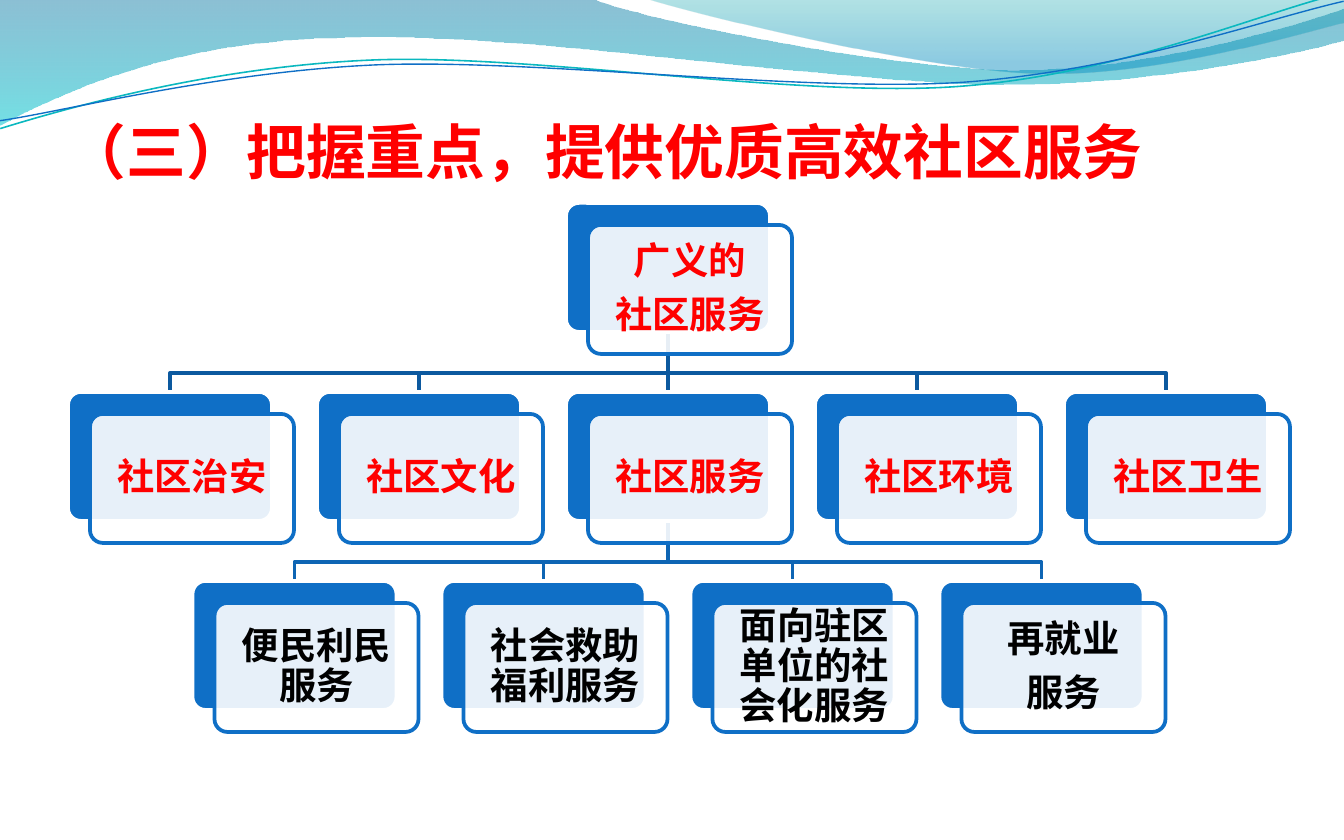
from lxml.etree import SubElement
from pptx import Presentation
from pptx.dml.color import RGBColor
from pptx.enum.shapes import MSO_SHAPE
from pptx.enum.text import MSO_ANCHOR, MSO_AUTO_SIZE, PP_ALIGN
from pptx.oxml.ns import qn
from pptx.util import Pt

ROUNDED = MSO_SHAPE.ROUNDED_RECTANGLE
MIDDLE, BOTTOM = MSO_ANCHOR.MIDDLE, MSO_ANCHOR.BOTTOM
CENTER, LEFT = PP_ALIGN.CENTER, PP_ALIGN.LEFT
NO_FIT = MSO_AUTO_SIZE.NONE

TITLE = "（三）把握重点，提供优质高效社区服务"
RED, BLACK, WHITE, BLUE = "FF0000", "000000", "FFFFFF", "0F6FC6"
CJK_FONT = "Noto Sans CJK SC"

# Each level: text colour, colour of the lines leading to it, cards as paragraphs
LEVELS = [
    (RED, None, [["广义的", "社区服务"]]),
    (RED, "0C599F", [["社区治安"], ["社区文化"], ["社区服务"], ["社区环境"], ["社区卫生"]]),
    (BLACK, "0E65B4", [["便民利民服务"], ["社会救助福利服务"],
                       ["面向驻区单位的社会化服务"], ["再就业", "服务"]]),
]

# Outlines in px: a pair is a straight step, six numbers are a Bézier curve.
# Gradient stops run from top to bottom: position, colour, opacity in percent.
WAVES = [
    ([(0, 0), (591, -1), (640, 19, 892, 70, 1019, 70), (1146, 70, 1288, 28, 1344, 9),
      (1345, 40), (1321, 48, 1169, 85, 1003, 85), (836, 85, 513, 31, 345, 38),
      (173, 40, 62, 93, -1, 126), (0, 0)],
     [(0, "0074A1", 45), (1, "00C6CF", 55)]),
    ([(644, -1), (684, 12, 917, 69, 1034, 73), (1150, 77, 1292, 36, 1344, 23),
      (1344, 0), (644, -1)],
     [(0, "00A1A9", 30), (0.8, "008BBF", 45)]),
]
# Outlines before the rotation, line colour, line width
RIPPLES = [
    ([(-2, 97), (64, 80, 212, 45, 373, 46), (532, 47, 794, 104, 956, 100),
      (1119, 96, 1264, 40, 1344, 25)], "0AB8BF", 0.85),
    ([(-2, 89), (62, 83, 220, 50, 380, 51), (542, 53, 801, 99, 963, 96),
      (1123, 92, 1267, 47, 1346, 33)], BLUE, 0.75),
]
RIPPLE_ROTATION = 357.3

SLIDE_WIDTH, SLIDE_HEIGHT = 1344, 840
CENTER_X, FIRST_TOP = 668, 203
COLUMN_STEP, ROW_STEP = 249, 189
CARD_WIDTH, CARD_HEIGHT = 204, 129
SHIFT_X, SHIFT_Y = 22, 22
BUS_GAP = 19
CARD_INSET = 15
STEM_MARGIN = 7


def px(value):
    return round(value * 914400 / 134.4)


def rgb(value):
    return RGBColor.from_string(value)


def set_opacity(shape, percents):
    """Give the fill colours of a shape, in order, their opacity."""
    for color, percent in zip(shape._element.spPr.iter(qn("a:srgbClr")), percents):
        SubElement(color, qn("a:alpha"), val=str(percent * 1000))


def set_line(shape, color, width):
    shape.line.color.rgb = rgb(color)
    shape.line.width = Pt(width)


def add_freeform(slide, outline, close=False):
    """Draw every point as a corner, then join each curve's three into a Bézier step."""
    points = [(px(x), px(y)) for step in outline for x, y in zip(step[::2], step[1::2])]
    builder = slide.shapes.build_freeform(*points[0])
    builder.add_line_segments(points[1:], close=close)
    shape = builder.convert_to_shape()
    shape.shadow.inherit = False
    if not close:
        shape.fill.background()
    corners = shape._element.iter(qn("a:lnTo"))
    corners = iter(list(corners))
    for step in outline[1:]:
        corner = next(corners)
        if len(step) == 6:
            corner.tag = qn("a:cubicBezTo")
            for follower in (next(corners), next(corners)):
                corner.append(follower[0])
                follower.getparent().remove(follower)
    return shape


def add_waves(slide):
    for outline, stops in WAVES:
        wave = add_freeform(slide, outline, close=True)
        wave.fill.gradient()
        wave.fill.gradient_angle = 270
        for stop, (position, color, _) in zip(wave.fill.gradient_stops, stops):
            stop.position = position
            stop.color.rgb = rgb(color)
        set_opacity(wave, [opacity for _, _, opacity in stops])
        wave.line.fill.background()
    for outline, color, width in RIPPLES:
        ripple = add_freeform(slide, outline)
        ripple.rotation = RIPPLE_ROTATION
        set_line(ripple, color, width)


def format_paragraph(paragraph, size, color, font_name, alignment):
    paragraph.alignment = alignment
    font = paragraph.font
    font.size, font.bold, font.name = Pt(size), True, font_name
    font.color.rgb = rgb(color)
    defaults = paragraph._p.pPr.find(qn("a:defRPr"))
    SubElement(defaults, qn("a:ea"), typeface=CJK_FONT)


def set_insets(frame, left, top, right, bottom):
    frame.margin_left, frame.margin_top = px(left), px(top)
    frame.margin_right, frame.margin_bottom = px(right), px(bottom)


def add_title(slide):
    title = slide.shapes.title
    title.left, title.top, title.width, title.height = px(67), px(38), px(1176), px(149)
    frame = title.text_frame
    frame.text = TITLE
    frame.auto_size, frame.vertical_anchor = NO_FIT, BOTTOM
    set_insets(frame, 0, 7, 0, 0)
    format_paragraph(frame.paragraphs[0], 32, RED, "Calibri", LEFT)


def column_centers(count):
    return [CENTER_X + (index - (count - 1) / 2) * COLUMN_STEP for index in range(count)]


def add_branch(slide, x, top, color):
    """Draw the line from the middle card of the row above down to x."""
    start, bus = top - ROW_STEP + CARD_HEIGHT, top - BUS_GAP
    if x == CENTER_X:
        # A slanted line sets the width of the frame; both ends then move to its middle.
        branch = add_freeform(slide, [(x - STEM_MARGIN, start), (x + STEM_MARGIN, top)])
        for point in branch._element.iter(qn("a:pt")):
            point.set("x", str(px(STEM_MARGIN)))
    else:
        branch = add_freeform(slide, [(CENTER_X, start), (CENTER_X, bus), (x, bus), (x, top)])
    set_line(branch, color, 2)


def add_panel(slide, left, top, fill, line):
    panel = slide.shapes.add_shape(ROUNDED, px(left), px(top), px(CARD_WIDTH), px(CARD_HEIGHT))
    panel.adjustments[0] = 0.1
    panel.shadow.inherit = False
    panel.fill.solid()
    panel.fill.fore_color.rgb = rgb(fill)
    set_line(panel, line, 2)
    return panel


def add_card(slide, x, top, lines, color):
    left = x - CARD_WIDTH / 2
    add_panel(slide, left, top, BLUE, WHITE)
    front = add_panel(slide, left + SHIFT_X, top + SHIFT_Y, WHITE, BLUE)
    set_opacity(front, [90])
    frame = front.text_frame
    frame.text = "\n".join(lines)
    frame.word_wrap, frame.vertical_anchor = True, MIDDLE
    set_insets(frame, *[CARD_INSET] * 4)
    for paragraph in frame.paragraphs:
        paragraph.line_spacing, paragraph.space_after = 0.9, Pt(7)
        format_paragraph(paragraph, 20, color, CJK_FONT, CENTER)


def main():
    presentation = Presentation()
    presentation.slide_width, presentation.slide_height = px(SLIDE_WIDTH), px(SLIDE_HEIGHT)
    slide = presentation.slides.add_slide(presentation.slide_layouts[5])
    add_waves(slide)
    add_title(slide)
    rows = [(FIRST_TOP + index * ROW_STEP, *level) for index, level in enumerate(LEVELS)]
    for top, _, line_color, cards in rows[1:]:
        for x in column_centers(len(cards)):
            add_branch(slide, x, top, line_color)
    for top, text_color, _, cards in rows:
        for x, lines in zip(column_centers(len(cards)), cards):
            add_card(slide, x, top, lines, text_color)
    presentation.save("out.pptx")


if __name__ == "__main__":
    main()
